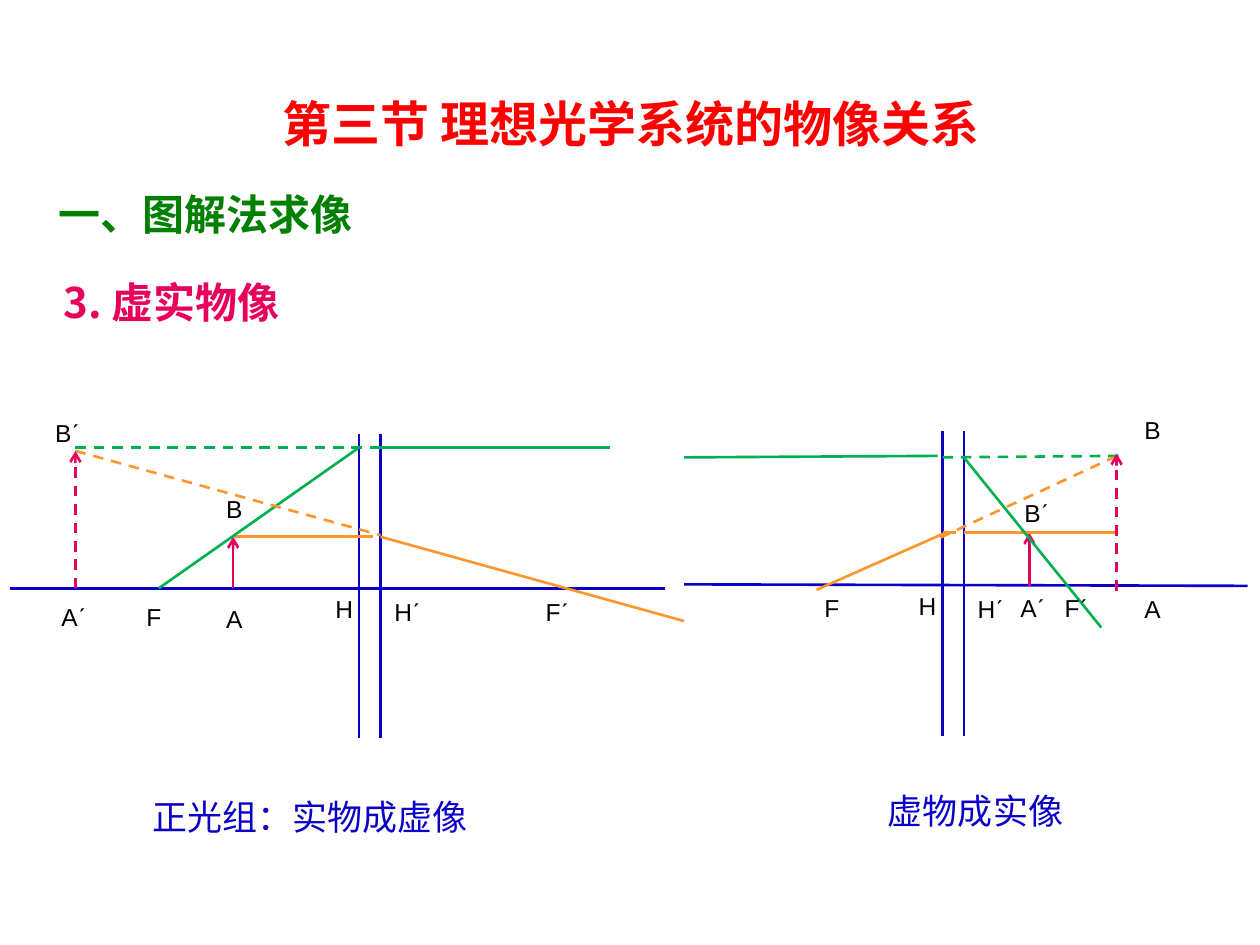
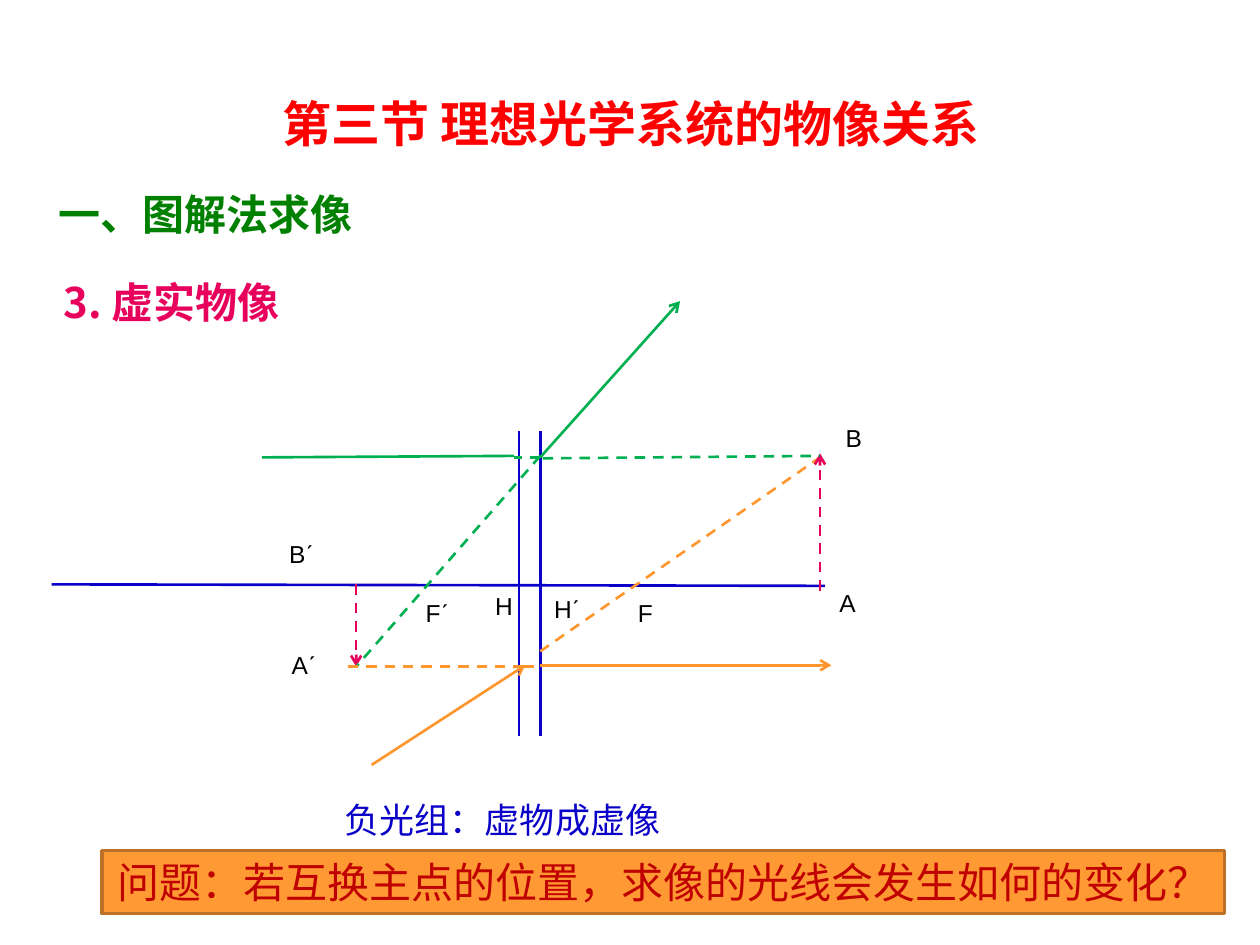
"""Two slides on graphical imaging with real and virtual objects."""
from lxml import etree
from pptx import Presentation
from pptx import util as u
from pptx.dml.color import RGBColor
from pptx.enum import dml, shapes, text
from pptx.oxml.ns import qn

COLOURS = {
    "title": "FF0000",
    "section": "008000",
    "height": "E7005C",
    "system": "0A00C8",
    "focal": "00B050",
    "parallel": "FE962D",
    "label": "000000",
    "bar": "FF9933",
    "bar_edge": "BD7126",
    "question": "C00000",
}
CJK = "Noto Sans CJK SC"
PLANE_GAP = 0.43
PLANE_TOP, PLANE_BOTTOM = -3.12, 3.02

REAL_TO_VIRTUAL = {
    "axis": (-7.04, 0, 6.17, 0),
    "rays": [
        ("height", (-2.54, 0, -2.54, -1.04), "arrow"),
        ("parallel", (-2.54, -1.04, 0, -1.04), ""),
        ("parallel", (0, -1.04, 0.28, -1.04), ""),
        ("parallel", (PLANE_GAP, -1.04, 6.55, 0.66), ""),
        ("focal", (-4.04, 0, 0, -2.84), ""),
        ("focal", (PLANE_GAP, -2.84, 5.05, -2.84), ""),
        ("focal", (-5.72, -2.84, PLANE_GAP, -2.84), "dash"),
        ("parallel", (-5.72, -2.77, PLANE_GAP, -1.07), "dash"),
        ("height", (-5.72, 0, -5.72, -2.77), "dash arrow"),
    ],
    "points": {
        "H": (-0.64, 0), "Hˊ": (0.46, 0.05),
        "F": (-4.45, 0.15), "Fˊ": (3.51, 0.05),
        "A": (-2.84, 0.2), "B": (-2.84, -2.03),
        "Aˊ": (-6.25, 0.15), "Bˊ": (-6.38, -3.56),
    },
    "caption": ("正光组：实物成虚像", -4.42, 4.06, 7.95),
}
VIRTUAL_TO_REAL = {
    "axis": (-5.21, -0.03, 6.15, 0),
    "rays": [
        ("height", (1.75, 0, 1.75, -1.07), "arrow"),
        ("parallel", (-2.54, 0.08, 0.1, -1.09), ""),
        ("parallel", (0, -1.07, 0.28, -1.07), ""),
        ("parallel", (PLANE_GAP, -1.07, 3.48, -1.07), ""),
        ("focal", (3.2, 0.84, PLANE_GAP, -2.59), ""),
        ("focal", (-5.21, -2.59, -0.1, -2.62), ""),
        ("focal", (0, -2.59, 3.56, -2.62), "dash"),
        ("parallel", (-0.05, -0.97, 3.45, -2.59), "dash"),
        ("height", (3.51, 0.1, 3.51, -2.67), "dash arrow"),
    ],
    "points": {
        "H": (-0.64, -0.03), "Hˊ": (0.46, 0.05),
        "F": (-2.54, 0.03), "Fˊ": (2.21, 0.03),
        "A": (3.91, 0.05), "B": (3.91, -3.56),
        "Aˊ": (1.32, 0.03), "Bˊ": (1.4, -1.9),
    },
    "caption": ("虚物成实像", -1.35, 3.99, 4.7),
}
VIRTUAL_TO_VIRTUAL = {
    "axis": (-9.42, -0.03, 6.17, 0),
    "rays": [
        ("height", (-3.28, -0.03, -3.28, 1.63), "dash arrow"),
        ("parallel", (-2.97, 3.61, 0.13, 1.6), "arrow"),
        ("parallel", (0.03, 1.63, 0.3, 1.63), ""),
        ("parallel", (PLANE_GAP, 1.6, 6.3, 1.6), "arrow"),
        ("focal", (PLANE_GAP, -2.59, 3.25, -5.74), "arrow"),
        ("focal", (-5.18, -2.59, -0.1, -2.62), ""),
        ("focal", (PLANE_GAP, -2.62, -3.28, 1.63), "dash"),
        ("parallel", (PLANE_GAP, 1.32, 6.07, -2.59), "dash"),
        ("height", (6.07, 0.1, 6.07, -2.67), "dash arrow"),
        ("focal", (PLANE_GAP, -2.59, -0.1, -2.59), "dash"),
        ("focal", (0.48, -2.57, 6.07, -2.62), "dash"),
        ("parallel", (-3.45, 1.63, 0.03, 1.63), "dash"),
    ],
    "points": {
        "H": (-0.64, -0.03), "Hˊ": (0.46, 0.05),
        "F": (2.24, 0.13), "Fˊ": (-2.13, 0.13),
        "A": (6.3, -0.08), "B": (6.43, -3.4),
        "Aˊ": (-4.83, 1.17), "Bˊ": (-4.88, -1.07),
    },
    "caption": ("负光组：虚物成虚像", -3.76, 4.17, 8.94),
}


def colour(role):
    """Return the colour of a role."""
    return RGBColor.from_string(COLOURS[role])


def write(holder, words, size, role, font=CJK, bold=False, centred=False,
          anchor=text.MSO_ANCHOR.TOP):
    """Put one formatted line of words into a shape."""
    frame = holder.text_frame
    frame.word_wrap = True
    frame.vertical_anchor = anchor
    line = frame.paragraphs[0]
    line.text = words
    line.alignment = text.PP_ALIGN.CENTER if centred else text.PP_ALIGN.LEFT
    for run in line.runs:
        run.font.size = u.Pt(size)
        run.font.bold = bold
        run.font.name = font
        run.font.color.rgb = colour(role)
        east_asian = etree.SubElement(run._r.rPr, qn("a:ea"))
        east_asian.set("typeface", CJK)


def add_words(slide, box, words, size, role, **style):
    """Add a text box given as left, top, width and height in centimetres."""
    holder = slide.shapes.add_textbox(*map(u.Cm, box))
    write(holder, words, size, role, **style)


def add_line(slide, origin, ends, role, style=""):
    """Draw a line between two points relative to the origin."""
    left, top = origin
    x1, y1, x2, y2 = ends
    ray = slide.shapes.add_connector(
        shapes.MSO_CONNECTOR.STRAIGHT,
        u.Cm(left + x1), u.Cm(top + y1), u.Cm(left + x2), u.Cm(top + y2))
    ray.line.color.rgb = colour(role)
    ray.line.width = u.Pt(1.5)
    if "dash" in style:
        ray.line.dash_style = dml.MSO_LINE.DASH
    if "arrow" in style:
        tip = etree.SubElement(ray.line._get_or_add_ln(), qn("a:tailEnd"))
        tip.set("type", "arrow")
    etree.SubElement(ray._element.spPr, qn("a:effectLst"))


def add_diagram(slide, origin, optics):
    """Draw an optical system whose origin is point H on the axis."""
    left, top = origin
    add_line(slide, origin, optics["axis"], "system")
    for x in (0, PLANE_GAP):
        add_line(slide, origin, (x, PLANE_TOP, x, PLANE_BOTTOM), "system")
    for role, ends, style in optics["rays"]:
        add_line(slide, origin, ends, role, style)
    for point, (x, y) in optics["points"].items():
        width = 0.41 if len(point) == 1 else 1.5
        add_words(slide, (left + x, top + y, width, 0.86), point, 14, "label",
                  font="Arial")
    caption, x, y, width = optics["caption"]
    add_words(slide, (left + x, top + y, width, 1.12), caption, 20, "system")


def add_headings(slide):
    """Add the title and the two headings shared by the slides."""
    middle = text.MSO_ANCHOR.MIDDLE
    add_words(slide, (1.04, 5.44, 7.34, 1.3), "3. 虚实物像", 24, "height",
              bold=True, anchor=middle)
    add_words(slide, (1.94, 1.7, 21.56, 1.57), "第三节 理想光学系统的物像关系",
              28, "title", font="Times New Roman", bold=True, centred=True,
              anchor=middle)
    add_words(slide, (0.94, 3.68, 7.34, 1.3), "一、图解法求像", 24, "section",
              bold=True)


def add_question(slide, box):
    """Add the bar with the closing question."""
    bar = slide.shapes.add_shape(shapes.MSO_SHAPE.RECTANGLE, *map(u.Cm, box))
    bar.shadow.inherit = False
    bar.fill.solid()
    bar.fill.fore_color.rgb = colour("bar")
    bar.line.color.rgb = colour("bar_edge")
    bar.line.width = u.Pt(2)
    write(bar, "问题：若互换主点的位置，求像的光线会发生如何的变化？", 24,
          "question", centred=True)


def main():
    """Build both slides and save them."""
    deck = Presentation()
    deck.slide_width, deck.slide_height = u.Cm(25.4), u.Cm(19.05)
    positive, negative = (
        deck.slides.add_slide(deck.slide_layouts[6]) for _ in range(2))
    for slide in (positive, negative):
        add_headings(slide)
    add_diagram(positive, (7.24, 11.86), REAL_TO_VIRTUAL)
    add_diagram(positive, (19, 11.81), VIRTUAL_TO_REAL)
    add_diagram(negative, (10.46, 11.81), VIRTUAL_TO_VIRTUAL)
    add_question(negative, (2.06, 17.15, 22.63, 1.27))
    deck.save("out.pptx")


if __name__ == "__main__":
    main()
